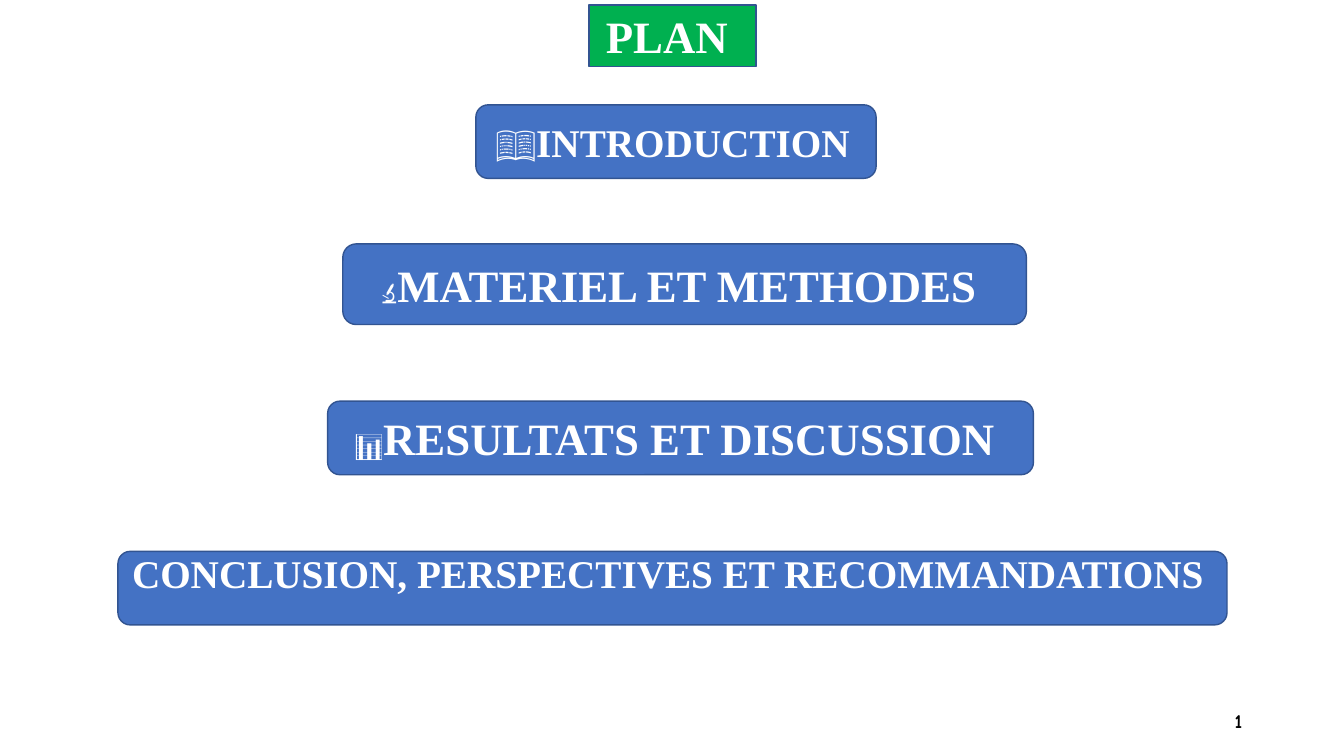
from lxml import etree
from pptx import Presentation
from pptx.dml.color import RGBColor
from pptx.enum.shapes import MSO_SHAPE
from pptx.enum.text import MSO_ANCHOR, MSO_AUTO_SIZE, PP_ALIGN
from pptx.oxml.ns import qn
from pptx.util import Inches, Pt

GREEN = RGBColor(0x00, 0xB0, 0x50)
BLUE = RGBColor(0x44, 0x72, 0xC4)
OUTLINE = RGBColor(0x32, 0x54, 0x91)
WHITE = RGBColor(0xFF, 0xFF, 0xFF)
BLACK = RGBColor(0x00, 0x00, 0x00)
ROUNDED = MSO_SHAPE.ROUNDED_RECTANGLE
MIDDLE = MSO_ANCHOR.MIDDLE
NO_FIT = MSO_AUTO_SIZE.NONE
CENTER = PP_ALIGN.CENTER
RIGHT = PP_ALIGN.RIGHT
TITLE_ONLY = 5
SLIDE_NUMBER_ID = "{B6F15528-21DE-4FAA-801E-634DDDAF4B2B}"

SECTIONS = [
    (4.72, 1.04, 3.97, 0.73, [("📖INTRODUCTION", 28, True), (" ", 20, False)]),
    (3.4, 2.42, 6.78, 0.8, [("🔬", 20, False), ("MATERIEL ET METHODES ", 32, True)]),
    (3.25, 3.98, 7, 0.73, [("📊", 20, False), ("RESULTATS ET DISCUSSION ", 32, True)]),
]
CONCLUSION = (1.17, 5.47, 11, 0.73,
              [("CONCLUSION, PERSPECTIVES ET RECOMMANDATIONS ", 28, True)])


class PlanSlide:
    heading_font = "Times New Roman"
    number_font = "Comic Neue"

    def __init__(self, presentation):
        self.slide = presentation.slides.add_slide(presentation.slide_layouts[TITLE_ONLY])

    def fill_text(self, shape, pieces, font_name, color, alignment):
        frame = shape.text_frame
        frame.word_wrap = True
        frame.auto_size = NO_FIT
        frame.vertical_anchor = MIDDLE
        paragraph = frame.paragraphs[0]
        paragraph.alignment = alignment
        for text, size, bold in pieces:
            run = paragraph.add_run()
            run.text = text
            run.font.name = font_name
            run.font.size = Pt(size)
            run.font.bold = bold
            run.font.color.rgb = color

    def paint(self, shape, fill):
        shape.fill.solid()
        shape.fill.fore_color.rgb = fill
        shape.line.color.rgb = OUTLINE
        shape.line.width = Pt(1)

    def title(self, left, top, width, height, pieces):
        shape = self.slide.shapes.title
        shape.left, shape.top = Inches(left), Inches(top)
        shape.width, shape.height = Inches(width), Inches(height)
        geometry = etree.SubElement(shape._element.spPr, qn("a:prstGeom"), prst="roundRect")
        etree.SubElement(geometry, qn("a:avLst"))
        self.paint(shape, GREEN)
        self.fill_text(shape, pieces, self.heading_font, WHITE, CENTER)

    def section(self, left, top, width, height, pieces):
        shape = self.slide.shapes.add_shape(
            ROUNDED, Inches(left), Inches(top), Inches(width), Inches(height))
        shape.shadow.inherit = False
        self.paint(shape, BLUE)
        self.fill_text(shape, pieces, self.heading_font, WHITE, CENTER)
        return shape

    def slide_number(self, left, top, width, height):
        box = self.slide.shapes.add_textbox(
            Inches(left), Inches(top), Inches(width), Inches(height))
        self.fill_text(box, [("1", 14, True)], self.number_font, BLACK, RIGHT)
        field = box.text_frame.paragraphs[0].runs[0]._r
        field.tag = qn("a:fld")
        field.set("id", SLIDE_NUMBER_ID)
        field.set("type", "slidenum")


def main():
    presentation = Presentation()
    presentation.slide_width = Inches(13.33)
    presentation.slide_height = Inches(7.5)
    plan = PlanSlide(presentation)
    plan.slide_number(9.42, 6.95, 3, 0.4)
    plan.title(5.84, 0.05, 1.66, 0.61, [("PLAN ", 32, True)])
    for section in SECTIONS:
        plan.section(*section)
    conclusion = plan.section(*CONCLUSION)
    conclusion.text_frame.margin_bottom = Inches(0.35)
    presentation.save("out.pptx")


if __name__ == "__main__":
    main()
